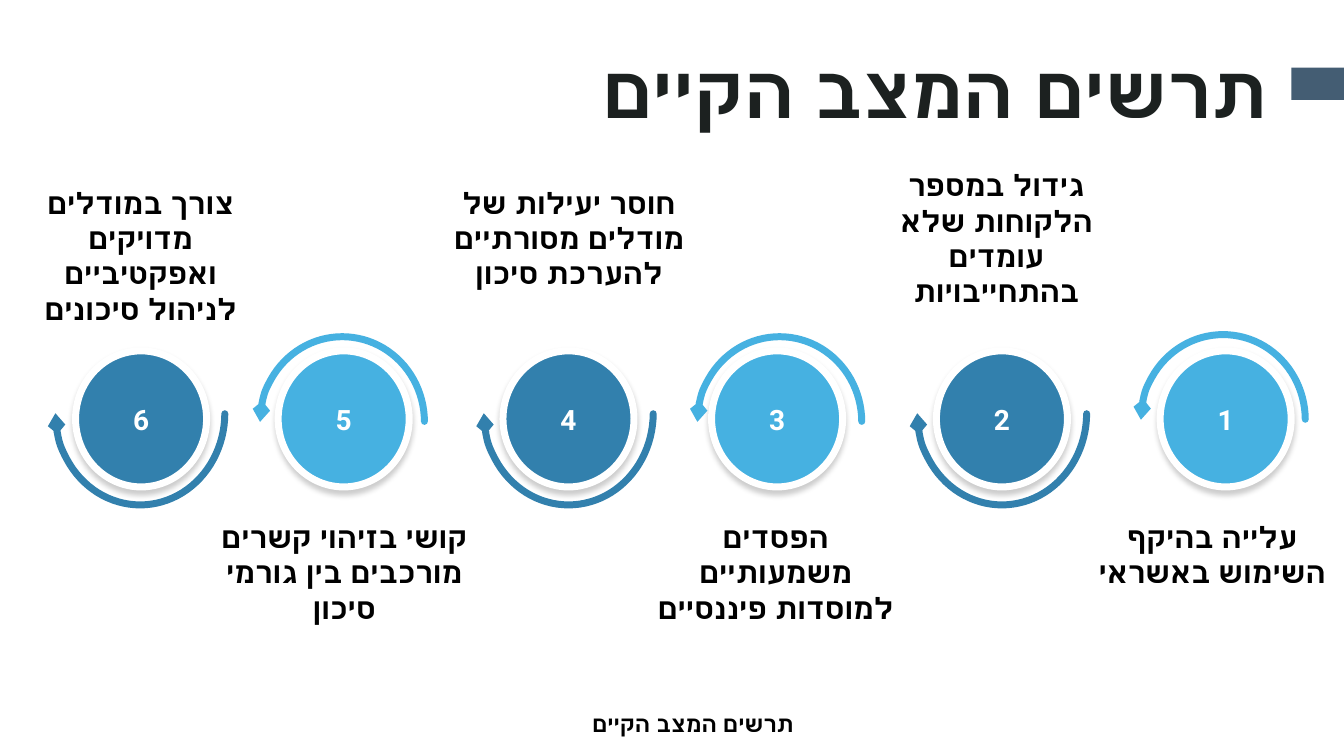
"""Build the slide that charts the existing situation in six numbered steps."""
import lxml.etree
import pptx
import pptx.dml.color
import pptx.enum.shapes
import pptx.enum.text
import pptx.oxml.ns
import pptx.util

Pt = pptx.util.Pt
RGBColor = pptx.dml.color.RGBColor
SHAPE = pptx.enum.shapes.MSO_SHAPE
ALIGN = pptx.enum.text.PP_ALIGN
ANCHOR = pptx.enum.text.MSO_ANCHOR
qn = pptx.oxml.ns.qn

LIGHT_BLUE = RGBColor(0x46, 0xB1, 0xE1)
DARK_BLUE = RGBColor(0x32, 0x80, 0xAD)
SLATE = RGBColor(0x44, 0x5D, 0x73)
INK = RGBColor(0x1C, 0x21, 0x20)
BLACK = RGBColor(0, 0, 0)
WHITE = RGBColor(255, 255, 255)

HEADING = "תרשים המצב הקיים"
CAPTION_SIZE = 21
LINE_HEIGHT = 25

STEPS = [
    ("עלייה בהיקף השימוש באשראי", 828.7, 815, 239, 769.7, LINE_HEIGHT),
    ("גידול במספר הלקוחות שלא עומדים בהתחייבויות", 668.9, 655.2, 229.7, 615.6, LINE_HEIGHT),
    ("הפסדים משמעותיים למוסדות פיננסיים", 508.3, 498.2, 240.5, 457.9, 0),
    ("חוסר יעילות של מודלים מסורתיים להערכת סיכון", 359.3, 345.6, 229.7, 310.3, LINE_HEIGHT),
    ("קושי בזיהוי קשרים מורכבים בין גורמי סיכון", 198.7, 185.8, 240.5, 149.8, 0),
    ("צורך במודלים מדויקים ואפקטיביים לניהול סיכונים", 54, 39.6, 229.7, 4.3, 0),
]


def write(shape, text, size, font, color, align, anchor):
    """Put one bold paragraph into a shape and return the paragraph."""
    frame = shape.text_frame
    frame.word_wrap = True
    frame.vertical_anchor = anchor
    para = frame.paragraphs[0]
    para.alignment = align
    span = para.add_run()
    span.text = text
    for name, value in {"size": Pt(size), "name": font, "bold": True}.items():
        setattr(span.font, name, value)
    span.font.color.rgb = color
    return para


def add_shape(kind, left, top, width, height):
    """Add a preset shape without a shadow."""
    shape = slide.shapes.add_shape(kind, Pt(left), Pt(top), Pt(width), Pt(height))
    shape.shadow.inherit = False
    return shape


deck = pptx.Presentation()
deck.slide_width, deck.slide_height = Pt(960), Pt(540)
slide = deck.slides.add_slide(deck.slide_layouts[6])

title = slide.shapes.add_textbox(Pt(0), Pt(-2.9), Pt(912.2), Pt(110.2))
para = write(title, HEADING, 52.6, "Roboto", INK, ALIGN.RIGHT, ANCHOR.TOP)
para.line_spacing = 1.5

accent = add_shape(SHAPE.RECTANGLE, 922.5, 48.3, 37.5, 23)
accent.fill.solid()
accent.fill.fore_color.rgb = SLATE
accent.line.fill.background()

footer = slide.shapes.add_textbox(Pt(30), Pt(504), Pt(930), Pt(26.6))
para = write(footer, HEADING, 16, "Roboto", BLACK, ALIGN.CENTER, ANCHOR.TOP)
para._p.get_or_add_pPr().set("rtl", "1")

for number, (caption, circle_left, arc_left, arc_top, box_left, gap) in enumerate(STEPS, 1):
    odd = number % 2 == 1
    color = LIGHT_BLUE if odd else DARK_BLUE

    circle = add_shape(SHAPE.OVAL, circle_left, 250.6, 93.6, 97.2)
    circle.fill.solid()
    circle.fill.fore_color.rgb = color
    circle.line.color.rgb = WHITE
    circle.line.width = Pt(5)
    effects = circle._element.spPr.find(qn("a:effectLst"))
    shadow = lxml.etree.SubElement(
        effects, qn("a:outerShdw"), blurRad=str(Pt(4)), dist=str(Pt(3)), dir="5400000", rotWithShape="0")
    shade = lxml.etree.SubElement(shadow, qn("a:srgbClr"), val=str(BLACK))
    lxml.etree.SubElement(shade, qn("a:alpha"), val="20000")
    write(circle, str(number), 20, "Roboto", WHITE, ALIGN.CENTER, ANCHOR.MIDDLE)

    arc_width, arc_height = (117.4, 121.7) if odd else (121, 131)
    arc = add_shape(SHAPE.ARC, arc_left, arc_top, arc_width, arc_height)
    arc.adjustments[0] = 108.2
    arc.adjustments[1] = 0
    arc.fill.background()
    arc.line.color.rgb = color
    arc.line.width = Pt(5)
    frame = arc._element.spPr.find(qn("a:xfrm"))
    frame.set("flipH", "1")
    if not odd:
        frame.set("flipV", "1")
    outline = arc._element.spPr.find(qn("a:ln"))
    outline.set("cap", "rnd")
    lxml.etree.SubElement(outline, qn("a:tailEnd"), type="arrow", w="sm", len="sm")

    box = slide.shapes.add_textbox(Pt(box_left), Pt(364.3 if odd else 138.2), Pt(192.2), Pt(88.6))
    write(box, caption, CAPTION_SIZE, "Karla", BLACK, ALIGN.CENTER, ANCHOR.MIDDLE)
    box.text_frame.margin_bottom = Pt(3.6 + gap)

deck.save("out.pptx")
